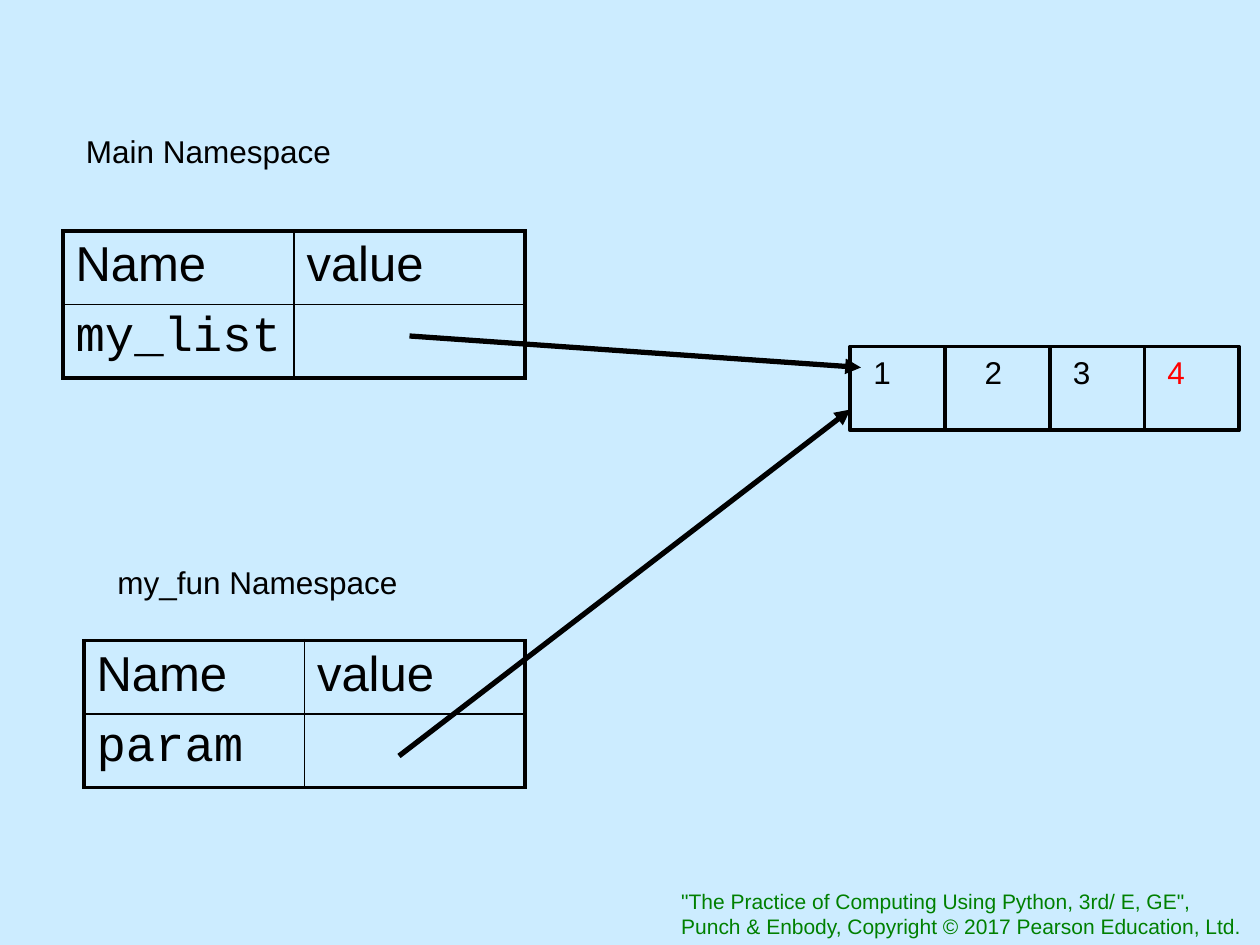
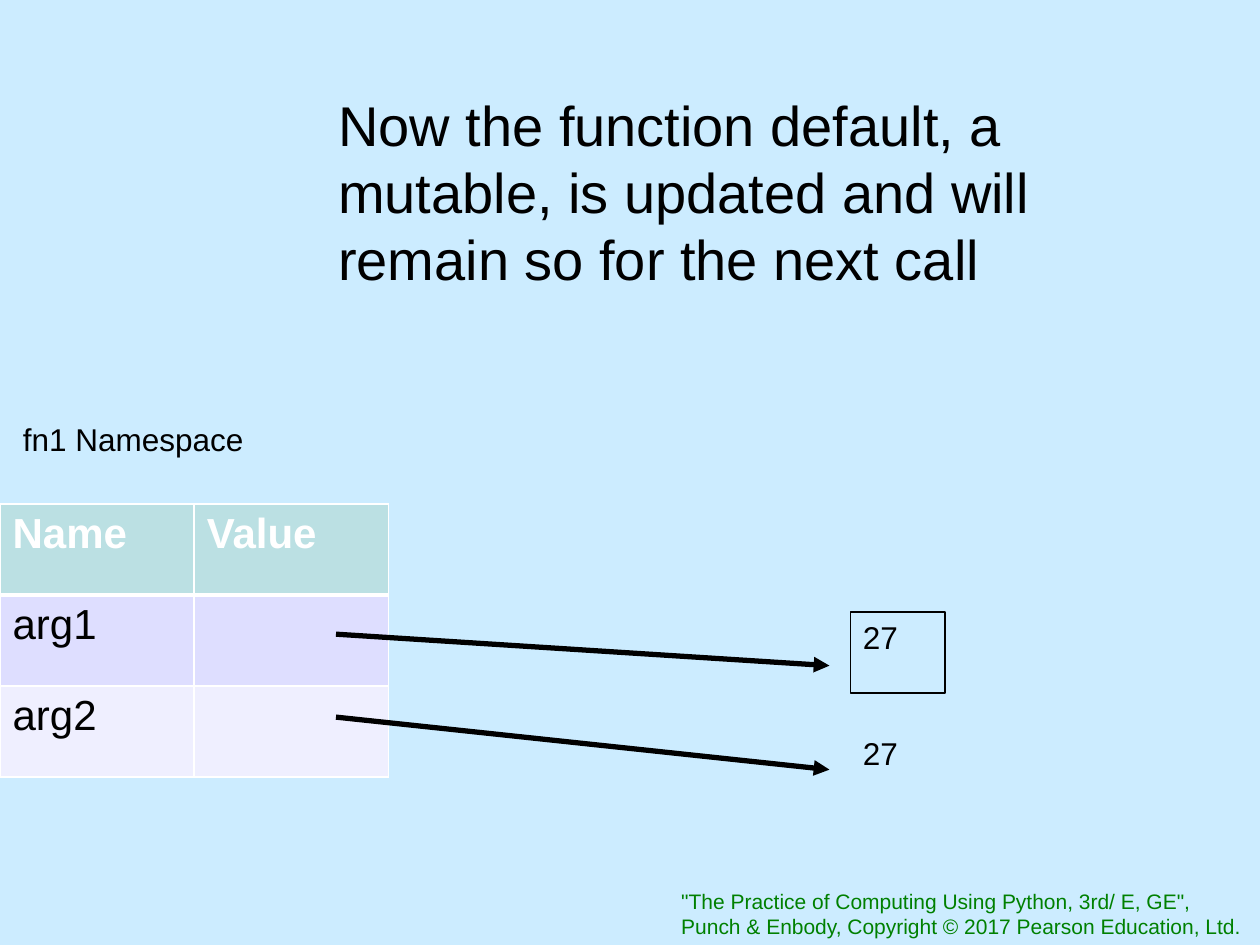
from lxml import etree
from pptx import Presentation
from pptx.dml.color import RGBColor
from pptx.enum.shapes import MSO_CONNECTOR as Line, MSO_SHAPE as Preset
from pptx.enum.text import MSO_ANCHOR as Anchor, MSO_AUTO_SIZE as AutoSize, PP_ALIGN as Align
from pptx.oxml.ns import qn
from pptx.util import Inches, Pt

# Shared look; every length is in grid units of a twelfth of an inch
UNIT = Inches(1) / 12
COLUMNS, ROWS = 120, 90
SKY, INK, GREEN, RED, WHITE = "CCECFF", "000000", "008000", "FF0000", "FFFFFF"
SANS, MONO = "Arial", "Courier New"
TITLE_ONLY, BLANK = 5, 6

FOOTER = ['"The Practice of Computing Using Python, 3rd/ E, GE",',
          "Punch & Enbody, Copyright © 2017 Pearson Education, Ltd."]

# Table styles: borders are (colour, points)
OUTLINED = dict(size=28, header_color=INK, bold=False, name_font=MONO, fills=[None, None],
                outer=(INK, 2.25), inner=(INK, 1), under_header=(INK, 1))
BANDED = dict(size=24, header_color=WHITE, bold=True, name_font=SANS,
              fills=["BBE0E3", "DEDEFF", "EFEFFF"],
              outer=(WHITE, 1), inner=(WHITE, 1), under_header=(WHITE, 3))

# Slide contents: labels are (text, left, top, width), arrows are (from, to)
LIST_CALL = dict(
    labels=[("Main Namespace", 7, 12, 44), ("my_fun Namespace", 10, 53, 30)],
    tables=[((6, 22, 44, 14), [("Name", "value"), ("my_list", "")], OUTLINED),
            ((8, 61, 42, 14), [("Name", "value"), ("param", "")], OUTLINED)],
    arrows=[((39, 32), (82, 35)), ((38, 72), (81, 39))],
)
LIST_TOP, LIST_HEIGHT = 33, 8
LIST_EDGES = [81, 90, 100, 109, 118]
LIST_ITEMS = [("1", 1, INK), ("2", 2.6, INK), ("3", 1, INK), ("4", 1, RED)]  # text, indent, colour

DEFAULT_CALL = dict(
    labels=[("fn1 Namespace", 1, 39.4, 40), ("27", 81, 69.3, 8.4)],
    tables=[((0, 48, 37, 26), [("Name", "Value"), ("arg1", ""), ("arg2", "")], BANDED)],
    arrows=[((32, 60.4), (79, 63.4)), ((32, 68.3), (79, 73.3))],
)
DEFAULT_TITLE = "Now the function default, a mutable, is updated and will remain so for the next call"
TITLE_PLACE = (31, 8, 84, 20.6)
VALUE_BOX = ("27", (81, 58.3, 9, 7.7))


def grid(*lengths):
    return [round(length * UNIT) for length in lengths]


def color(value):
    return RGBColor.from_string(value)


def write(frame, lines, size, ink=INK, font=SANS, bold=False):
    frame.text = "\n".join(lines)
    for para in frame.paragraphs:
        para.alignment = Align.LEFT
        para.font.name, para.font.size, para.font.bold = font, Pt(size), bold
        para.font.color.rgb = color(ink)


def add_text(page, lines, place, size=18, ink=INK):
    box = page.shapes.add_textbox(*grid(*place))
    box.text_frame.word_wrap = True
    write(box.text_frame, lines, size, ink)


def add_box(page, place, weight):
    box = page.shapes.add_shape(Preset.RECTANGLE, *grid(*place))
    box.shadow.inherit = False
    box.fill.background()
    box.line.color.rgb, box.line.width = color(INK), Pt(weight)
    return box


def add_line(page, start, end, weight, arrow=False):
    line = page.shapes.add_connector(Line.STRAIGHT, *grid(*start, *end))
    line.line.color.rgb, line.line.width = color(INK), Pt(weight)
    properties = line._element.spPr
    if arrow:
        etree.SubElement(properties.find(qn("a:ln")), qn("a:tailEnd"), type="triangle")
    etree.SubElement(properties, qn("a:effectLst"))


def set_borders(cell, borders):
    properties = cell._tc.get_or_add_tcPr()
    for index, (side, (ink, weight)) in enumerate(zip("LRTB", borders)):
        border = etree.Element(qn(f"a:ln{side}"), w=str(Pt(weight)))
        fill = etree.SubElement(border, qn("a:solidFill"))
        etree.SubElement(fill, qn("a:srgbClr"), val=ink)
        properties.insert(index, border)


def add_namespace(page, place, rows, style):
    last_row, last_column = len(rows) - 1, len(rows[0]) - 1
    table = page.shapes.add_table(len(rows), len(rows[0]), *grid(*place)).table
    outer, inner = style["outer"], style["inner"]
    # Horizontal rules from top to bottom
    rules = [outer, style["under_header"]] + [inner] * (last_row - 1) + [outer]
    for r, row in enumerate(rows):
        for c, text in enumerate(row):
            cell = table.cell(r, c)
            cell.margin_right = Inches(0.05)
            if style["fills"][r]:
                cell.fill.solid()
                cell.fill.fore_color.rgb = color(style["fills"][r])
            else:
                cell.fill.background()
            set_borders(cell, [outer if c == 0 else inner,
                               outer if c == last_column else inner,
                               rules[r], rules[r + 1]])
            if r == 0:
                write(cell.text_frame, [text], style["size"], style["header_color"],
                      bold=style["bold"])
            else:
                write(cell.text_frame, [text], style["size"], font=style["name_font"])


def add_page(deck, layout, content):
    page = deck.slides.add_slide(deck.slide_layouts[layout])
    add_text(page, FOOTER, (63.7, 84, 56.3, 6), 12, GREEN)
    for text, left, top, width in content["labels"]:
        add_text(page, [text], (left, top, width, 4.8))
    for place, rows, style in content["tables"]:
        add_namespace(page, place, rows, style)
    for start, end in content["arrows"]:
        add_line(page, start, end, 3, arrow=True)
    return page


def add_list_object(page):
    left, right = LIST_EDGES[0], LIST_EDGES[-1]
    add_box(page, (left, LIST_TOP, right - left, LIST_HEIGHT), 2.25)
    for edge in LIST_EDGES[1:-1]:
        add_line(page, (edge, LIST_TOP), (edge, LIST_TOP + LIST_HEIGHT), 2.25)
    for edge, (text, indent, ink) in zip(LIST_EDGES, LIST_ITEMS):
        add_text(page, [text], (edge + indent, LIST_TOP, 5.4, 7.6), ink=ink)


def add_title(page):
    title = page.shapes.title
    title.left, title.top, title.width, title.height = grid(*TITLE_PLACE)
    frame = title.text_frame
    frame.word_wrap, frame.auto_size = True, AutoSize.NONE
    frame.vertical_anchor = Anchor.TOP
    write(frame, [DEFAULT_TITLE], 32)


def main():
    deck = Presentation()
    deck.slide_width, deck.slide_height = grid(COLUMNS, ROWS)
    background = deck.slide_master.background.fill
    background.solid()
    background.fore_color.rgb = color(SKY)

    # Slide 1: two namespaces share one list
    add_list_object(add_page(deck, BLANK, LIST_CALL))

    # Slide 2: the updated default value
    page = add_page(deck, TITLE_ONLY, DEFAULT_CALL)
    add_title(page)
    text, place = VALUE_BOX
    box = add_box(page, place, 0.75)
    box.text_frame.vertical_anchor = Anchor.TOP
    write(box.text_frame, [text], 18)

    deck.save("out.pptx")


if __name__ == "__main__":
    main()
